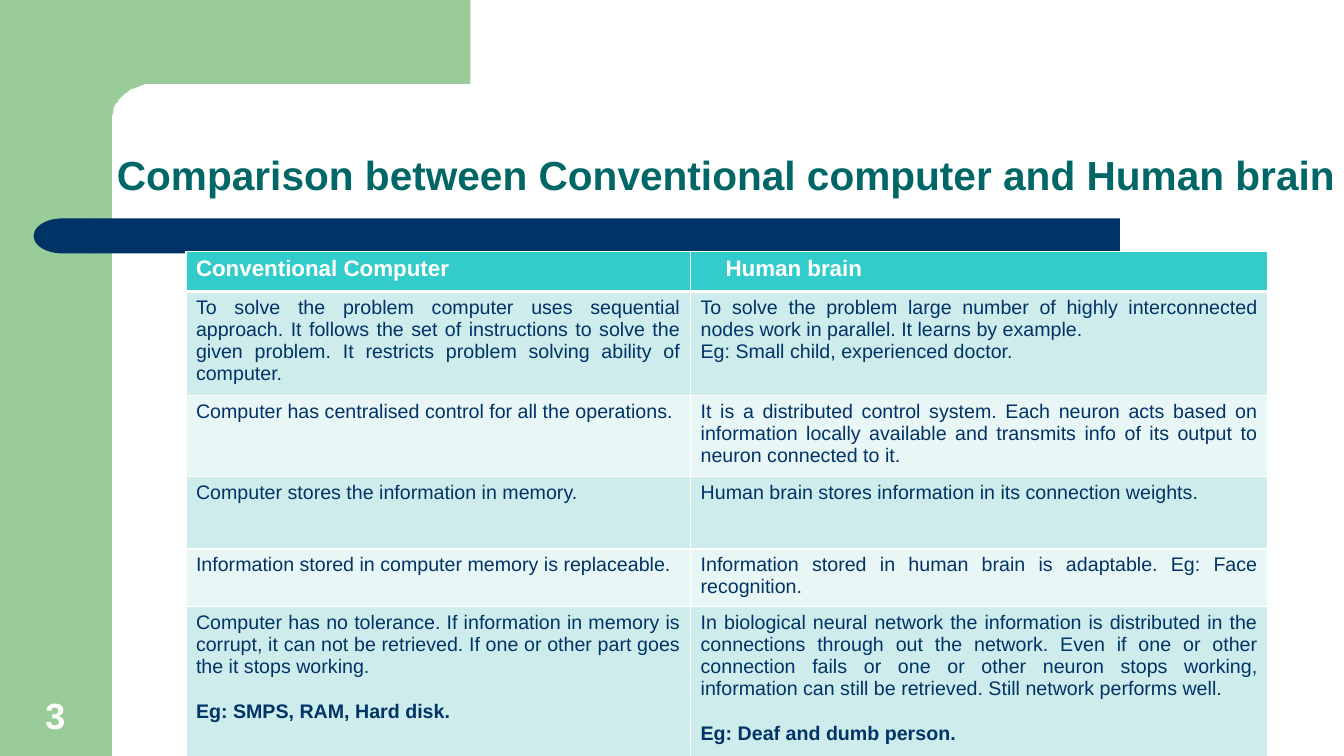
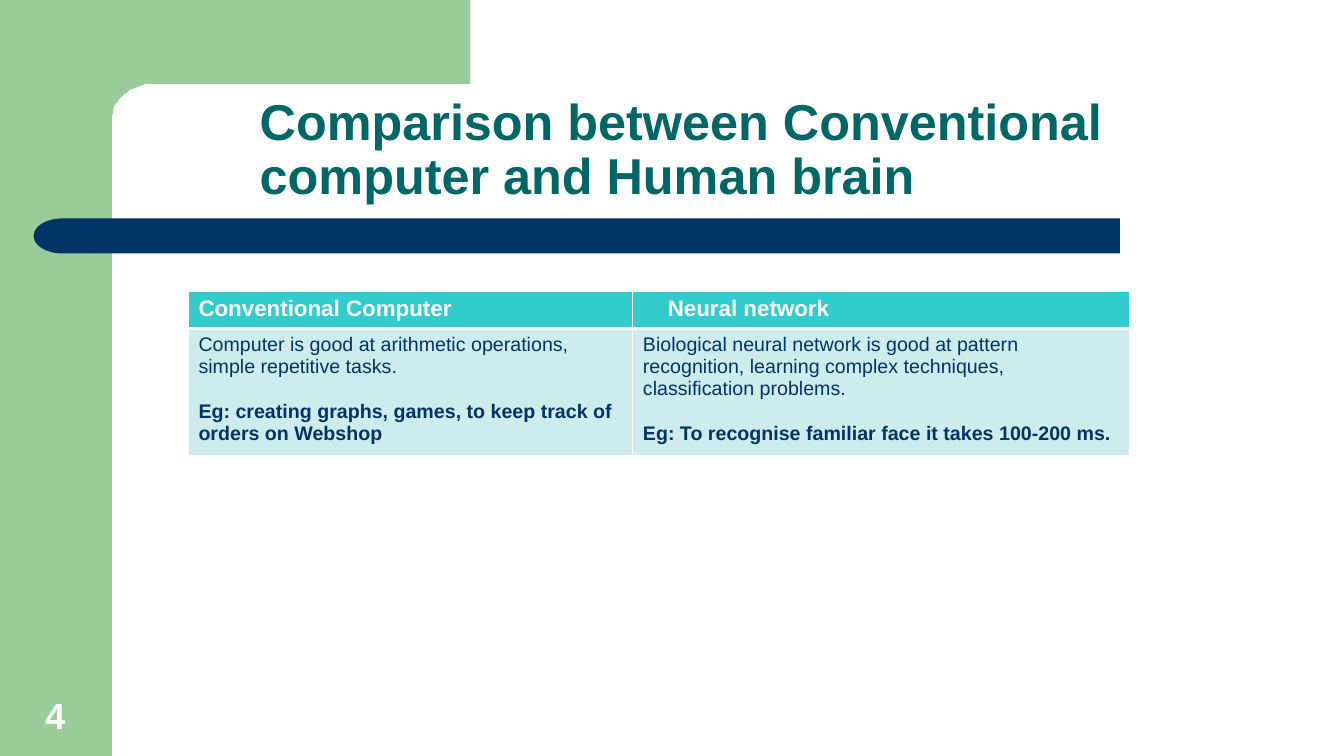
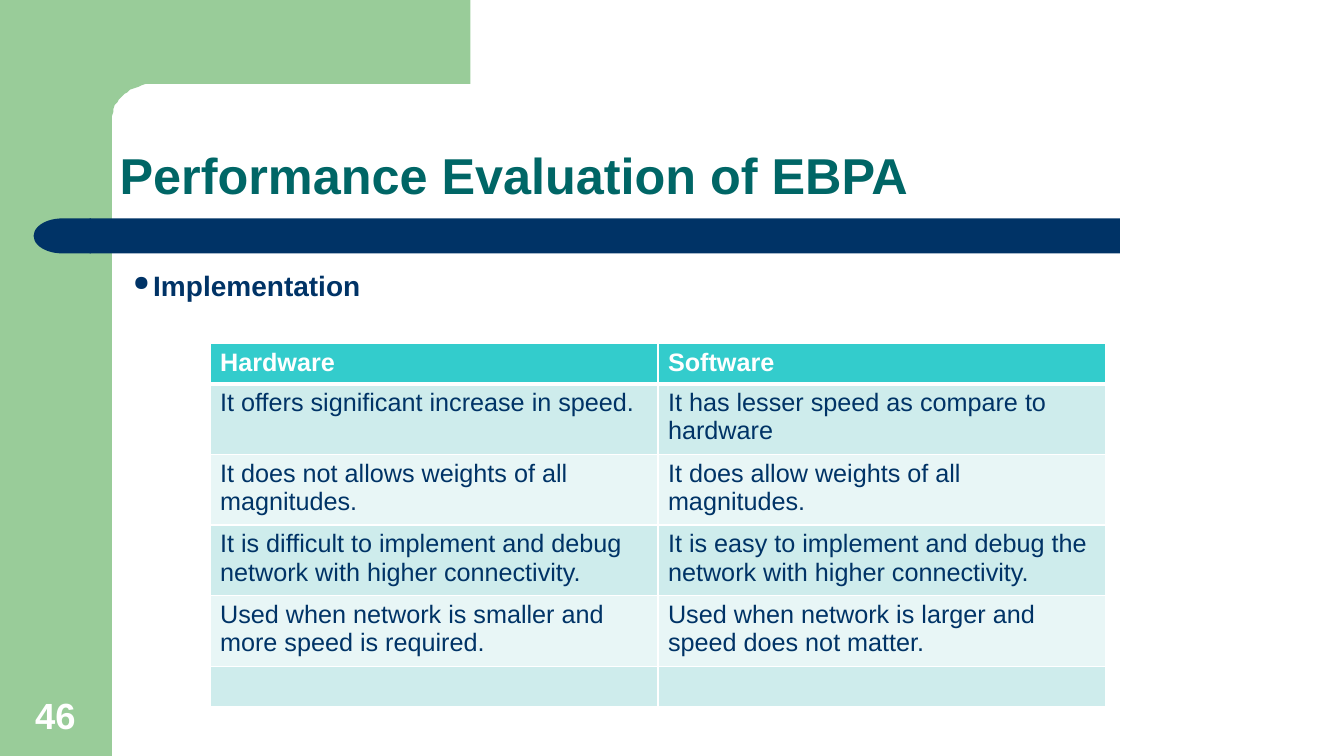
from math import cos, pi, sin

from lxml.etree import SubElement
from pptx import Presentation
from pptx.dml.color import RGBColor
from pptx.enum.shapes import MSO_SHAPE
from pptx.enum.text import MSO_ANCHOR, PP_ALIGN
from pptx.oxml.ns import qn
from pptx.util import Pt

# Theme
FONT = "Arial"
WHITE = RGBColor(0xFF, 0xFF, 0xFF)
GREEN = RGBColor(0x99, 0xCC, 0x99)
NAVY = RGBColor(0x00, 0x33, 0x66)
TEAL = RGBColor(0x00, 0x66, 0x66)
TURQUOISE = RGBColor(0x33, 0xCC, 0xCC)
BANDS = (RGBColor(0xCE, 0xEC, 0xEC), RGBColor(0xE8, 0xF6, 0xF6))

# Table content: a pair in a cell is a text and its bold example
BRAIN_ROWS = [
    ("Conventional Computer", "Human brain"),
    ("To solve the problem computer uses sequential approach. It follows the set of "
     "instructions to solve the given problem. It restricts problem solving ability of computer.",
     "To solve the problem large number of highly interconnected nodes work in parallel. "
     "It learns by example.\nEg: Small child, experienced doctor."),
    ("Computer has centralised control for all the operations.",
     "It is a distributed control system. Each neuron acts based on information locally "
     "available and transmits info of its output to neuron connected to it."),
    ("Computer stores the information in memory.",
     "Human brain stores information in its connection weights."),
    ("Information stored in computer memory is replaceable.",
     "Information stored in human brain is adaptable. Eg: Face recognition."),
    (("Computer has no tolerance. If information in memory is corrupt, it can not be "
      "retrieved. If one or other part goes the it stops working.",
      "Eg: SMPS, RAM, Hard disk."),
     ("In biological neural network the information is distributed in the connections through "
      "out the network. Even if one or other connection fails or one or other neuron stops "
      "working, information can still be retrieved. Still network performs well.",
      "Eg: Deaf and dumb person.")),
]
NETWORK_ROWS = [
    ("Conventional Computer", "Neural network"),
    (("Computer is good at arithmetic operations, simple repetitive tasks.",
      "Eg: creating graphs, games, to keep track of orders on Webshop"),
     ("Biological neural network is good at pattern recognition, learning complex techniques, "
      "classification problems.",
      "Eg: To recognise familiar face it takes 100-200 ms.")),
]
IMPLEMENTATION_ROWS = [
    ("Hardware", "Software"),
    ("It offers significant increase in speed.", "It has lesser speed as compare to hardware"),
    ("It does not allows weights of all magnitudes.", "It does allow weights of all magnitudes."),
    ("It is difficult to implement and debug network with higher connectivity.",
     "It is easy to implement and debug the network with higher connectivity."),
    ("Used when network is smaller and more speed is required.",
     "Used when network is larger and speed does not matter."),
    ("", ""),
]


def set_font(paragraph, size, color, bold=True):
    font = paragraph.font
    font.name, font.size, font.bold = FONT, Pt(size), bold
    font.color.rgb = color


def paint(shape, color):
    shape.shadow.inherit = False
    shape.fill.solid()
    shape.fill.fore_color.rgb = color
    shape.line.fill.background()


def add_block(slide, kind, left, top, width, height, color):
    shape = slide.shapes.add_shape(kind, Pt(left), Pt(top), Pt(width), Pt(height))
    paint(shape, color)
    return shape


def add_text(slide, text, left, top, width, height, anchor=MSO_ANCHOR.TOP):
    """Add a one-paragraph text box; return its frame and paragraph."""
    frame = slide.shapes.add_textbox(Pt(left), Pt(top), Pt(width), Pt(height)).text_frame
    frame.word_wrap = True
    frame.vertical_anchor = anchor
    frame.text = text
    return frame, frame.paragraphs[0]


def add_corner(slide):
    """Green top band whose inner corner is rounded."""
    center_x, center_y, radius_x, radius_y = 110, 85, 30, 25
    angles = [pi / 2 * step / 16 for step in range(17)]
    arc = [(center_x - radius_x * sin(angle), center_y - radius_y * cos(angle))
           for angle in angles]
    builder = slide.shapes.build_freeform(336, 0, scale=Pt(1))
    builder.add_line_segments([(336, 60), *arc, (80, 92), (48, 92), (48, 0)])
    paint(builder.convert_to_shape(), GREEN)


def add_base_slide(presentation, number):
    """Add a slide with the shared bands and the slide number."""
    slide = presentation.slides.add_slide(presentation.slide_layouts[6])
    add_block(slide, MSO_SHAPE.RECTANGLE, 0, 0, 80, 540, GREEN)
    add_corner(slide)
    add_block(slide, MSO_SHAPE.RECTANGLE, 64, 156, 736, 25, NAVY)
    bar_end = add_block(slide, MSO_SHAPE.FLOWCHART_DELAY, 24, 156, 41, 25, NAVY)
    bar_end.rotation = 180
    _, paragraph = add_text(slide, str(number), 8.5, 492, 62, 38, MSO_ANCHOR.BOTTOM)
    paragraph.alignment = PP_ALIGN.CENTER
    set_font(paragraph, 26, WHITE)
    return slide


def add_title(slide, text, left, width, top=60, size=36):
    frame, paragraph = add_text(slide, text, left, top, width, 90, MSO_ANCHOR.BOTTOM)
    frame.margin_left = frame.margin_right = Pt(5.5)
    frame.margin_bottom = Pt(3)
    paragraph.line_spacing = 0.9
    set_font(paragraph, size, TEAL)


def add_bullet(slide, text, left, top, width, height):
    _, paragraph = add_text(slide, text, left, top, width, height)
    properties = paragraph._p.get_or_add_pPr()
    properties.set("marL", str(Pt(14.4)))
    properties.set("indent", str(Pt(-14.4)))
    color = SubElement(properties, qn("a:buClr"))
    SubElement(color, qn("a:srgbClr"), val=str(NAVY))
    SubElement(properties, qn("a:buSzPct"), val="75000")
    SubElement(properties, qn("a:buChar"), char="●")
    set_font(paragraph, 20, NAVY)


def set_borders(cell, top=1, bottom=1):
    properties = cell._tc.get_or_add_tcPr()
    for side, width in (("L", 1), ("R", 1), ("T", top), ("B", bottom)):
        line = SubElement(properties, qn(f"a:ln{side}"), w=str(Pt(width)))
        fill = SubElement(line, qn("a:solidFill"))
        SubElement(fill, qn("a:srgbClr"), val=str(WHITE))


def fill_cell(cell, content, size, color, bold, alignment):
    text, example = content if isinstance(content, tuple) else (content, None)
    frame = cell.text_frame
    frame.text = text
    for paragraph in frame.paragraphs:
        paragraph.alignment = alignment
        set_font(paragraph, size, color, bold)
    if example:
        paragraph = frame.add_paragraph()
        paragraph.text = example
        paragraph.alignment = alignment
        paragraph.space_before = Pt(size * 1.15)
        set_font(paragraph, size, color)


def add_table(slide, rows, left, top, widths, heights, header_size, body_size,
              alignment=PP_ALIGN.LEFT, header_indent=0):
    table = slide.shapes.add_table(len(rows), len(widths), Pt(left), Pt(top),
                                   Pt(sum(widths)), Pt(sum(heights))).table
    table.first_row = table.horz_banding = False
    for column, width in zip(table.columns, widths):
        column.width = Pt(width)
    for index, (contents, height) in enumerate(zip(rows, heights)):
        row = table.rows[index]
        row.height = Pt(height)
        header = index == 0
        for cell, content in zip(row.cells, contents):
            set_borders(cell, top=3 if index == 1 else 1, bottom=3 if header else 1)
            cell.fill.solid()
            cell.fill.fore_color.rgb = TURQUOISE if header else BANDS[(index - 1) % 2]
            if header:
                fill_cell(cell, content, header_size, WHITE, True, PP_ALIGN.LEFT)
            else:
                fill_cell(cell, content, body_size, NAVY, False, alignment)
    table.cell(0, 1).margin_left = Pt(7.2 + header_indent)


def main():
    presentation = Presentation()
    presentation.slide_width, presentation.slide_height = Pt(960), Pt(540)
    comparison = "Comparison between Conventional computer and Human brain"

    # Computer and brain
    slide = add_base_slide(presentation, 3)
    add_title(slide, comparison, 78, 928, top=55.5, size=29)
    add_table(slide, BRAIN_ROWS, 132.8, 179.5, (360.5, 412.5),
              (28.8, 74, 57.8, 51.6, 41.2, 108), 16, 14, PP_ALIGN.JUSTIFY, 17.8)

    # Computer and neural network
    slide = add_base_slide(presentation, 4)
    add_title(slide, comparison, 180, 651.5)
    add_table(slide, NETWORK_ROWS, 134.6, 208.3, (317.5, 355), (26, 85.5), 16, 14,
              header_indent=17.8)

    # Hardware and software
    slide = add_base_slide(presentation, 46)
    add_title(slide, "Performance Evaluation of EBPA", 80, 595.5)
    add_bullet(slide, "Implementation", 88, 188, 808, 293)
    add_table(slide, IMPLEMENTATION_ROWS, 150, 245.3, (320, 320),
              (28.5, *[47.5] * 4, 28.5), 18, 18)

    presentation.save("out.pptx")


if __name__ == "__main__":
    main()
